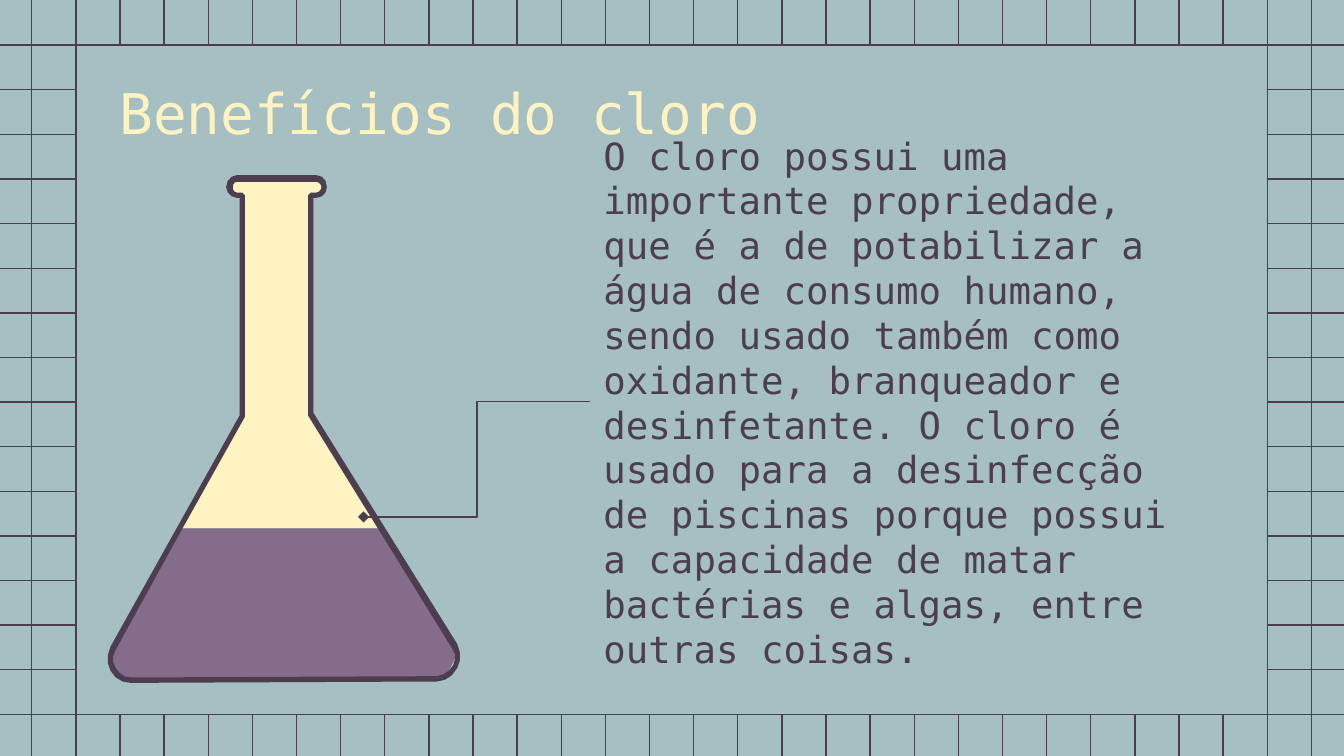
import pptx
import pptx.dml.color
import pptx.enum.shapes
import pptx.enum.text
import pptx.oxml.ns
import pptx.util
from lxml import etree

Pt = pptx.util.Pt
SLIDE_WIDTH, SLIDE_HEIGHT = 720, 405
INK, SKY, CREAM, PLUM = "4C3D4F", "A5BFC2", "FFF3C2", "856C8B"
FONT = "DejaVu Sans Mono"
TITLE = "Benefícios do cloro"
BENEFITS = (
    "O cloro possui uma importante propriedade, que é a de potabilizar a água "
    "de consumo humano, sendo usado também como oxidante, branqueador e "
    "desinfetante. O cloro é usado para a desinfecção de piscinas porque possui "
    "a capacidade de matar bactérias e algas, entre outras coisas."
)

# Flask contours on a 264 x 378 grid: pairs are corners, sextuples are Bézier curves.
FLASK_GRID_WIDTH = 264
GLASS = [
    (97, 3), (94, 3, 91, 5, 91, 9), (91, 12, 94, 15, 97, 15), (101, 15),
    (101, 179), (54, 263), (205, 263), (152, 178), (152, 15), (156, 15),
    (159, 15, 162, 12, 162, 9), (162, 5, 159, 3, 156, 3),
]
LIQUID = [
    (54, 263), (6, 350), (0, 362, 8, 376, 21, 376), (243, 375),
    (256, 375, 264, 359, 257, 348), (205, 263),
]
RIM_INSIDE = [
    (156, 5), (158, 5, 160, 7, 160, 9), (160, 11, 158, 13, 156, 13), (152, 13),
    (150, 15), (150, 179), (257, 352),
    (260, 356, 260, 361, 258, 365), (255, 370, 251, 372, 246, 373), (18, 374),
    (13, 374, 9, 371, 7, 367), (4, 363, 4, 358, 7, 353), (56, 264), (103, 180),
    (103, 15), (101, 13), (97, 13),
    (95, 13, 94, 11, 94, 9), (94, 7, 95, 5, 97, 5),
]
RIM_OUTSIDE = [
    (97, 0), (93, 0, 89, 4, 89, 9), (89, 13, 93, 17, 97, 17), (99, 17),
    (99, 179), (3, 351), (0, 357, 0, 364, 3, 369), (6, 375, 12, 378, 18, 378),
    (246, 377), (252, 377, 258, 373, 261, 367), (264, 362, 264, 355, 261, 349),
    (154, 177), (154, 17), (156, 17), (161, 17, 164, 13, 164, 9),
    (164, 4, 161, 0, 156, 0),
]


def color(hex_string):
    return pptx.dml.color.RGBColor.from_string(hex_string)


def add_line(shapes, kind, x1, y1, x2, y2):
    line = shapes.add_connector(kind, Pt(x1), Pt(y1), Pt(x2), Pt(y2))
    line.line.color.rgb = color(INK)
    line.line.width = Pt(0.75)
    etree.SubElement(line._element.spPr, pptx.oxml.ns.qn("a:effectLst"))
    return line


def add_grid_frame(slide, left, top, width, height):
    """Ruled grid around a plain panel, kept on the layout as decoration."""
    frame = slide.shapes.add_group_shape()
    straight = pptx.enum.shapes.MSO_CONNECTOR.STRAIGHT
    first_x, pitch_x, first_y, pitch_y = 17, 23.64, 24.2, 23.9
    for column in range(30):
        x = left + first_x + column * pitch_x
        add_line(frame.shapes, straight, x, top, x, top + height)
    for row in range(16):
        y = top + first_y + row * pitch_y
        add_line(frame.shapes, straight, left, y, left + width, y)
    panel = frame.shapes.add_shape(
        pptx.enum.shapes.MSO_SHAPE.RECTANGLE,
        Pt(left + first_x + pitch_x), Pt(top + first_y),
        Pt(27 * pitch_x), Pt(15 * pitch_y),
    )
    panel.shadow.inherit = False
    panel.fill.solid()
    panel.fill.fore_color.rgb = color(SKY)
    panel.line.color.rgb = color(INK)
    panel.line.width = Pt(0.75)
    slide.slide_layout.shapes.element.append(frame.element)


def flatten(contour, steps=3):
    """Turn a contour's curves into short straight segments."""
    points = []
    for part in contour:
        if len(part) == 2:
            points.append(part)
            continue
        x0, y0 = points[-1]
        x1, y1, x2, y2, x3, y3 = part
        for step in range(1, steps + 1):
            t = step / steps
            a, b, c, d = (1 - t) ** 3, 3 * t * (1 - t) ** 2, 3 * t * t * (1 - t), t ** 3
            points.append((a * x0 + b * x1 + c * x2 + d * x3,
                           a * y0 + b * y1 + c * y2 + d * y3))
    return points


def add_flask(slide, left, top, width):
    flask = slide.shapes.add_group_shape()
    scale = width / FLASK_GRID_WIDTH
    for contours, fill in (([GLASS], CREAM), ([LIQUID], PLUM),
                           ([RIM_INSIDE, RIM_OUTSIDE], INK)):
        builder = None
        for contour in contours:
            points = [(Pt(left + x * scale), Pt(top + y * scale))
                      for x, y in flatten(contour)]
            if builder is None:
                builder = flask.shapes.build_freeform(*points[0])
            else:
                builder.move_to(*points[0])
            builder.add_line_segments(points[1:], close=True)
        piece = builder.convert_to_shape()
        piece.shadow.inherit = False
        piece.fill.solid()
        piece.fill.fore_color.rgb = color(fill)
        piece.line.fill.background()


def add_text(slide, box, text, size, hex_color, anchor):
    holder = slide.shapes.add_textbox(*map(Pt, box))
    frame = holder.text_frame
    frame.word_wrap = True
    frame.vertical_anchor = anchor
    frame.margin_left = frame.margin_right = Pt(7.2)
    frame.margin_top = frame.margin_bottom = Pt(7.2)
    frame.text = text
    paragraph = frame.paragraphs[0]
    paragraph.line_spacing = Pt(size * 1.2)
    font = paragraph.runs[0].font
    font.name = FONT
    font.size = Pt(size)
    font.color.rgb = color(hex_color)
    return holder


def add_callout(slide, target, left, top, width, height):
    """Elbow line from the left side of target to a diamond at the lower left."""
    callout = add_line(slide.shapes, pptx.enum.shapes.MSO_CONNECTOR.ELBOW,
                       left + width, top, left, top + height)
    callout.begin_connect(target, 1)
    etree.SubElement(callout.line._get_or_add_ln(),
                     pptx.oxml.ns.qn("a:tailEnd"), type="diamond")


def main():
    deck = pptx.Presentation()
    deck.slide_width, deck.slide_height = Pt(SLIDE_WIDTH), Pt(SLIDE_HEIGHT)
    slide = deck.slides.add_slide(deck.slide_layouts[6])
    slide.background.fill.solid()
    slide.background.fill.fore_color.rgb = color(SKY)

    anchors = pptx.enum.text.MSO_ANCHOR
    add_grid_frame(slide, 0, 0, SLIDE_WIDTH, SLIDE_HEIGHT)
    add_text(slide, (56.9, 34.8, 607, 45.4), TITLE, 30, CREAM, anchors.TOP)
    add_flask(slide, 57.1, 93.8, 190)
    benefits = add_text(slide, (316.2, 64.7, 317.5, 301), BENEFITS, 20, INK,
                        anchors.MIDDLE)
    add_callout(slide, benefits, 194.8, 215.2, 121.4, 61.7)
    deck.save("out.pptx")


if __name__ == "__main__":
    main()
